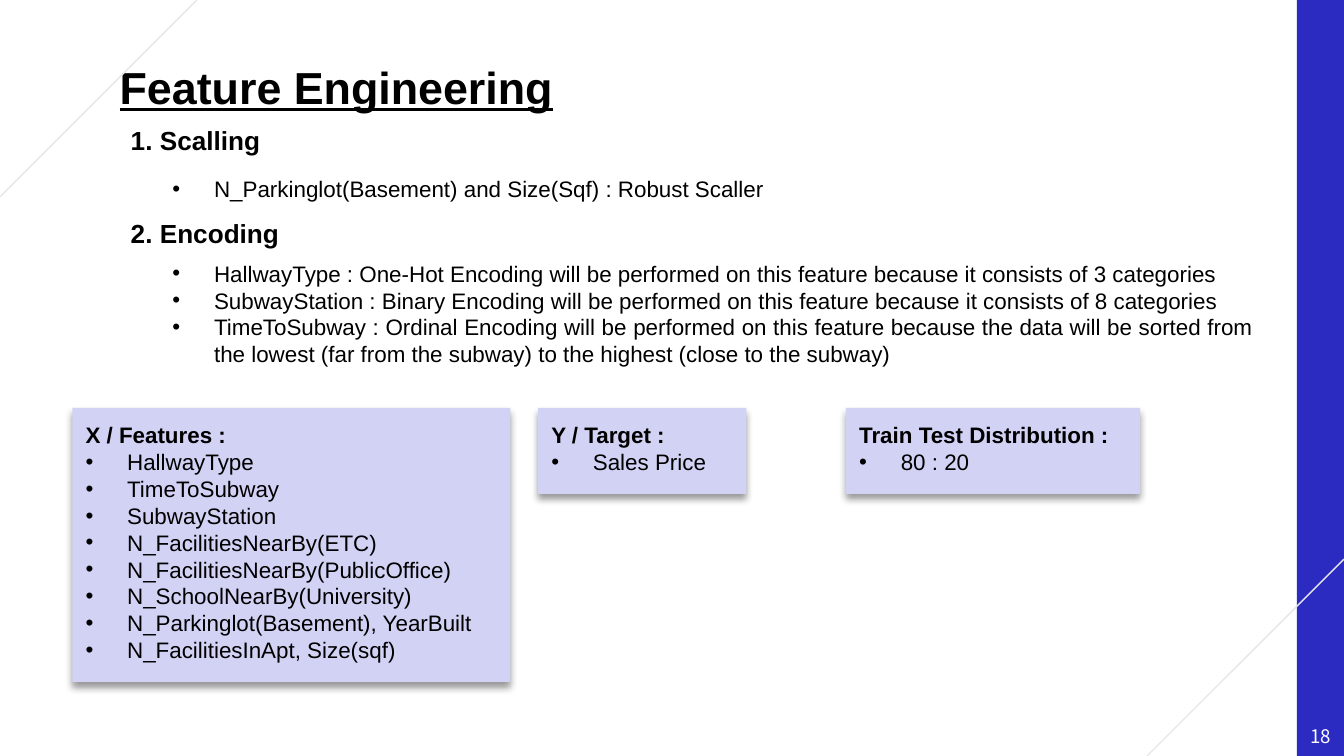
from lxml import etree
from pptx import Presentation, util as u
from pptx.dml.color import RGBColor
from pptx.enum import shapes, text
from pptx.oxml.ns import qn

# The slide is a grid of square cells, 0.1 inch each
COLUMNS, ROWS = 100, 56.25
BAND_LEFT, BAND_WIDTH = 96.5, 3.5
CORNER = 14.65
CARD_TOP = 30.35
INDENT = u.Inches(0.31)

BLACK = RGBColor(0x00, 0x00, 0x00)
WHITE = RGBColor(0xFF, 0xFF, 0xFF)
BLUE = RGBColor(0x2B, 0x2B, 0xC1)
LAVENDER = RGBColor(0xD2, 0xD2, 0xF5)
GREY = RGBColor(0xE7, 0xE7, 0xE7)

SECTIONS = [
    ((8.73, 8.23, 64.2, 8), 3.8, "1. Scalling",
     ["N_Parkinglot(Basement) and Size(Sqf) : Robust Scaller"]),
    ((8.73, 15.2, 85.6, 12.9), 3.13, "2. Encoding",
     ["HallwayType : One-Hot Encoding will be performed on this feature "
      "because it consists of 3 categories",
      "SubwayStation : Binary Encoding will be performed on this feature "
      "because it consists of 8 categories",
      "TimeToSubway : Ordinal Encoding will be performed on this feature "
      "because the data will be sorted from the lowest (far from the subway) "
      "to the highest (close to the subway)"]),
]

CARDS = [
    ((5.38, CARD_TOP, 32.6, 20.4), "X / Features :",
     ["HallwayType", "TimeToSubway", "SubwayStation",
      "N_FacilitiesNearBy(ETC)", "N_FacilitiesNearBy(PublicOffice)",
      "N_SchoolNearBy(University)", "N_Parkinglot(Basement), YearBuilt",
      "N_FacilitiesInApt, Size(sqf)"]),
    ((40.03, CARD_TOP, 15.5, 6.4), "Y / Target :", ["Sales Price"]),
    ((62.94, CARD_TOP, 21.9, 6.4), "Train Test Distribution :", ["80 : 20"]),
]


def cells(*counts):
    return [u.Inches(count / 10) for count in counts]


def place(shape, box):
    shape.left, shape.top, shape.width, shape.height = cells(*box)


def prepare_frame(shape, anchor=text.MSO_ANCHOR.TOP, wrap=True):
    frame = shape.text_frame
    frame.word_wrap = wrap
    frame.auto_size = text.MSO_AUTO_SIZE.NONE
    frame.vertical_anchor = anchor
    frame.margin_left = frame.margin_right = u.Inches(0.1)
    frame.margin_top = frame.margin_bottom = u.Inches(0.1)
    return frame


def set_bullet(paragraph, bullet):
    properties = paragraph._p.get_or_add_pPr()
    properties.set("marL", str(INDENT if bullet else 0))
    properties.set("indent", str(-INDENT if bullet else 0))
    if bullet:
        etree.SubElement(properties, qn("a:buFont"), typeface="Arial")
        etree.SubElement(properties, qn("a:buChar"), char="•")
    else:
        etree.SubElement(properties, qn("a:buNone"))


def write(frame, words, size=12, bold=False, underline=False, color=BLACK,
          font="Arial", align=text.PP_ALIGN.LEFT, bullet=False):
    """Add a formatted paragraph, using the first one while it is empty."""
    paragraph = frame.paragraphs[0]
    if paragraph.runs:
        paragraph = frame.add_paragraph()
    paragraph.alignment = align
    paragraph.line_spacing = 1.0
    paragraph.space_before = paragraph.space_after = u.Pt(0)
    set_bullet(paragraph, bullet)
    run = paragraph.add_run()
    run.text = words
    run.font.size = u.Pt(size)
    run.font.bold, run.font.underline = bold, underline
    run.font.name, run.font.color.rgb = font, color


def write_list(frame, items):
    for item in items:
        write(frame, item, align=text.PP_ALIGN.JUSTIFY, bullet=True)


def add_rectangle(slide, box, color):
    shape = slide.shapes.add_shape(shapes.MSO_SHAPE.RECTANGLE, *cells(*box))
    shape.shadow.inherit = False
    shape.fill.solid()
    shape.fill.fore_color.rgb = color
    shape.line.fill.background()
    return shape


def add_drop_shadow(shape):
    effects = shape._element.spPr.find(qn("a:effectLst"))
    shadow = etree.SubElement(
        effects, qn("a:outerShdw"), blurRad=str(u.Pt(4)), dist=str(u.Pt(3)),
        dir="5400000", algn="t", rotWithShape="0")
    color = etree.SubElement(shadow, qn("a:srgbClr"), val=str(BLACK))
    etree.SubElement(color, qn("a:alpha"), val="40000")


def add_diagonal(slide, *ends):
    line = slide.shapes.add_connector(shapes.MSO_CONNECTOR.STRAIGHT, *cells(*ends))
    line.line.color.rgb = GREY
    line.line.width = u.Pt(0.75)
    etree.SubElement(line._element.spPr, qn("a:effectLst"))


def add_frame_decor(slide, number):
    """Side band with the slide number, and the two corner diagonals."""
    add_rectangle(slide, (BAND_LEFT, 0, BAND_WIDTH, ROWS), BLUE)
    add_diagonal(slide, 0, CORNER, CORNER, 0)
    add_diagonal(slide, COLUMNS - CORNER, ROWS, COLUMNS, ROWS - CORNER)
    label = slide.shapes.add_textbox(*cells(BAND_LEFT, 53.35, BAND_WIDTH, 2.9))
    write(prepare_frame(label, text.MSO_ANCHOR.MIDDLE, wrap=False), number,
          size=10, color=WHITE, font="Noto Sans CJK KR",
          align=text.PP_ALIGN.CENTER)


def fill_title(title, box, words):
    place(title, box)
    write(prepare_frame(title), words, size=24, bold=True, underline=True)


def fill_section(heading, body, box, list_drop, words, items):
    """Put a heading at the top of the box and its list below, stepped in."""
    left, top, width, height = box
    step = 3.1
    place(heading, (left, top, 22.1, 4.2))
    write(prepare_frame(heading), words, size=14, bold=True)
    place(body, (left + step, top + list_drop, width - step, height - list_drop))
    write_list(prepare_frame(body), items)


def add_card(slide, box, heading, items):
    card = add_rectangle(slide, box, LAVENDER)
    add_drop_shadow(card)
    frame = prepare_frame(card)
    write(frame, heading, bold=True, align=text.PP_ALIGN.JUSTIFY)
    write_list(frame, items)


def main():
    presentation = Presentation()
    presentation.slide_width, presentation.slide_height = cells(COLUMNS, ROWS)
    comparison_layout = presentation.slide_layouts[4]
    slide = presentation.slides.add_slide(comparison_layout)
    title, *bodies = slide.placeholders

    add_frame_decor(slide, "18")
    fill_title(title, (7.9, 3.45, 84.2, 6.3), "Feature Engineering")
    for heading, body, section in zip(bodies[::2], bodies[1::2], SECTIONS):
        fill_section(heading, body, *section)
    for card in CARDS:
        add_card(slide, *card)
    presentation.save("out.pptx")


if __name__ == "__main__":
    main()
